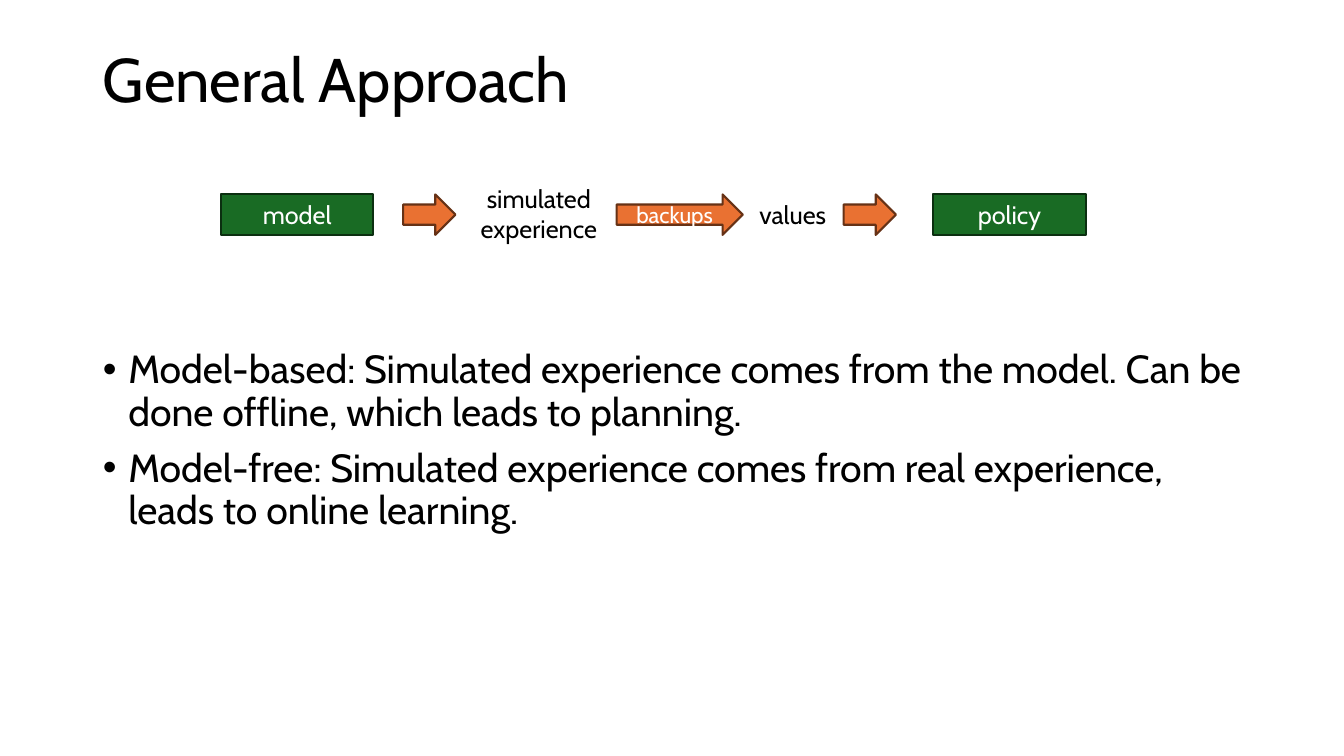
from lxml import etree
from pptx import Presentation
from pptx import util as u
from pptx.dml.color import RGBColor
from pptx.enum import shapes, text
from pptx.oxml.ns import qn

FONT = "Cabin"
BLACK, WHITE = "000000", "FFFFFF"
GREEN, DARK_GREEN = "196B24", "0B2F10"
ORANGE, DARK_ORANGE = "E97132", "663216"
BOX_WIDTH, BOX_HEIGHT, ROW_TOP = 3.84, 1.02, 4.9
ARROW_WIDTH = 1.32


def color(value):
    """Turn a hex string into a colour."""
    return RGBColor.from_string(value)


def place(shape, left, top, width, height):
    """Position a shape, with lengths in centimetres."""
    shape.left, shape.top = u.Cm(left), u.Cm(top)
    shape.width, shape.height = u.Cm(width), u.Cm(height)


def style_text(paragraph, size, shade, align):
    """Align a paragraph and format its runs."""
    paragraph.alignment = align
    for span in paragraph.runs:
        span.font.name = FONT
        span.font.size = u.Pt(size)
        span.font.color.rgb = color(shade)


def add_bullet(paragraph):
    """Give a paragraph a hanging round bullet."""
    properties = paragraph._p.get_or_add_pPr()
    properties.set("marL", str(u.Cm(0.64)))
    properties.set("indent", str(-u.Cm(0.64)))
    etree.SubElement(properties, qn("a:buFont")).set("typeface", "Arial")
    etree.SubElement(properties, qn("a:buChar")).set("char", "•")


def fill_title(title, wording):
    """Write the slide title."""
    place(title, 2.34, 1.02, 29.21, 2.11)
    frame = title.text_frame
    frame.text = wording
    frame.auto_size = text.MSO_AUTO_SIZE.NONE
    frame.vertical_anchor = text.MSO_ANCHOR.MIDDLE
    frame.paragraphs[0].line_spacing = 0.9
    style_text(frame.paragraphs[0], 44, BLACK, text.PP_ALIGN.LEFT)


def fill_list(body, items):
    """Write the bulleted list."""
    place(body, 2.34, 8.69, 29.21, 8.48)
    frame = body.text_frame
    frame.text = "\n".join(items)
    frame.auto_size = text.MSO_AUTO_SIZE.NONE
    frame.vertical_anchor = text.MSO_ANCHOR.TOP
    for index, paragraph in enumerate(frame.paragraphs):
        add_bullet(paragraph)
        paragraph.line_spacing = 0.9
        paragraph.space_before = u.Pt(10 if index else 0)
        style_text(paragraph, 28, BLACK, text.PP_ALIGN.LEFT)


def add_label(group, wording, left, top, height):
    """Add a plain centred label to the flow."""
    box = group.shapes.add_textbox(0, 0, 0, 0)
    place(box, left, top, BOX_WIDTH, height)
    box.text_frame.word_wrap = True
    box.text_frame.text = wording
    style_text(box.text_frame.paragraphs[0], 18, BLACK, text.PP_ALIGN.CENTER)


def add_block(group, kind, left, width, fill, line, wording="", size=18):
    """Add a filled and outlined shape to the flow."""
    block = group.shapes.add_shape(kind, 0, 0, 0, 0)
    place(block, left, ROW_TOP, width, BOX_HEIGHT)
    block.shadow.inherit = False
    block.fill.solid()
    block.fill.fore_color.rgb = color(fill)
    block.line.color.rgb = color(line)
    block.line.width = u.Pt(1.5)
    if wording:
        frame = block.text_frame
        frame.text = wording
        frame.vertical_anchor = text.MSO_ANCHOR.MIDDLE
        style_text(frame.paragraphs[0], size, WHITE, text.PP_ALIGN.CENTER)


def add_flow(page):
    """Draw the row that leads from model to policy."""
    group = page.shapes.add_group_shape()
    box, arrow = shapes.MSO_SHAPE.RECTANGLE, shapes.MSO_SHAPE.RIGHT_ARROW
    for left, wording in ((5.57, "model"), (23.52, "policy")):
        add_block(group, box, left, BOX_WIDTH, GREEN, DARK_GREEN, wording)
    add_label(group, "simulated\vexperience", 11.66, 4.5, 1.8)
    add_label(group, "values", 18.06, ROW_TOP, BOX_HEIGHT)
    for left, width, wording in (
        (10.16, ARROW_WIDTH, ""),
        (15.54, 3.18, "backups"),
        (21.26, ARROW_WIDTH, ""),
    ):
        add_block(group, arrow, left, width, ORANGE, DARK_ORANGE, wording, 16)


def main():
    """Build the slide and save it."""
    deck = Presentation()
    deck.slide_width, deck.slide_height = u.Cm(33.87), u.Cm(19.05)
    page = deck.slides.add_slide(deck.slide_layouts[1])
    fill_title(page.shapes.title, "General Approach")
    fill_list(page.placeholders[1], (
        "Model-based: Simulated experience comes from the model. "
        "Can be done offline, which leads to planning.",
        "Model-free: Simulated experience comes from real experience, "
        "leads to online learning.",
    ))
    add_flow(page)
    deck.save("out.pptx")


if __name__ == "__main__":
    main()
